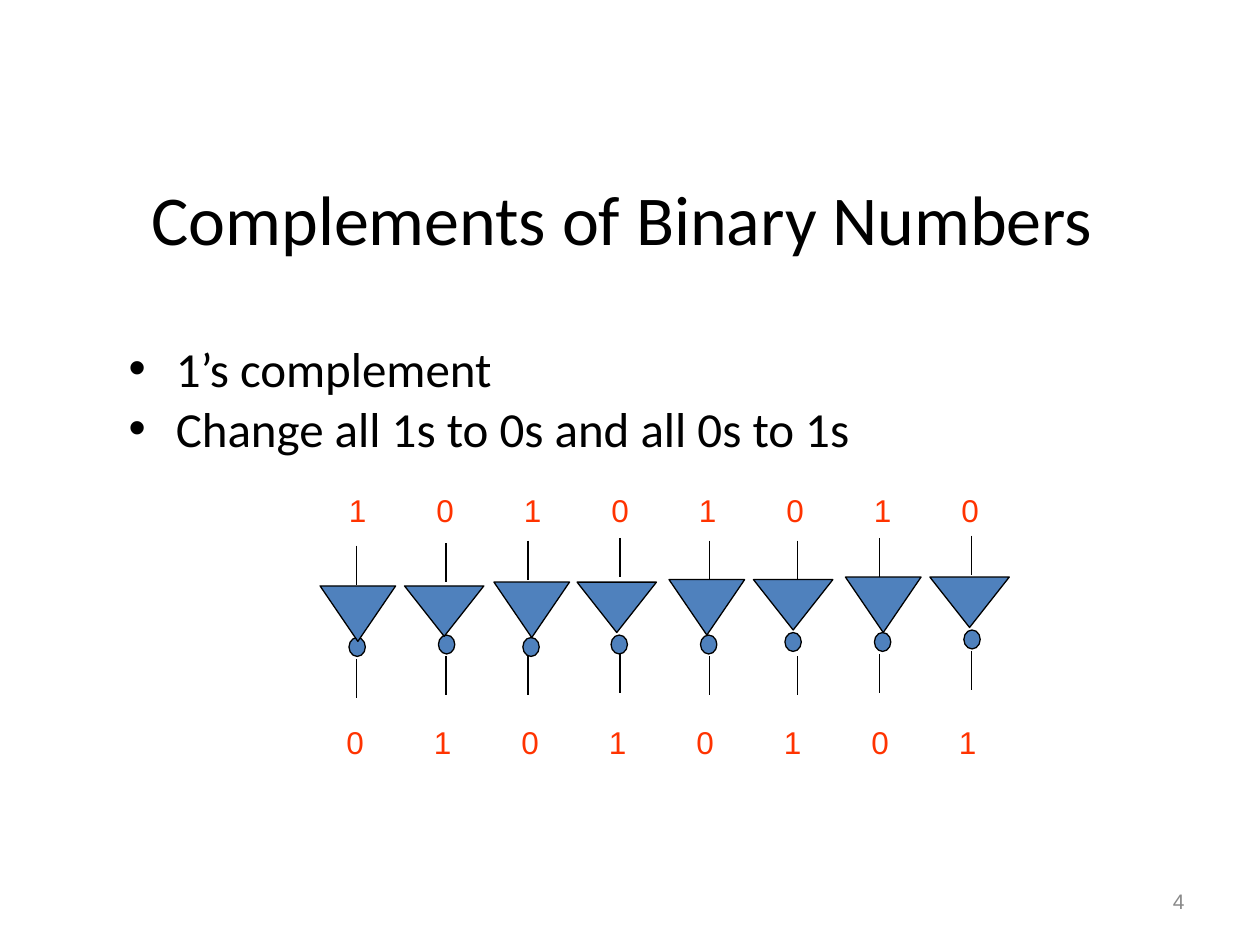
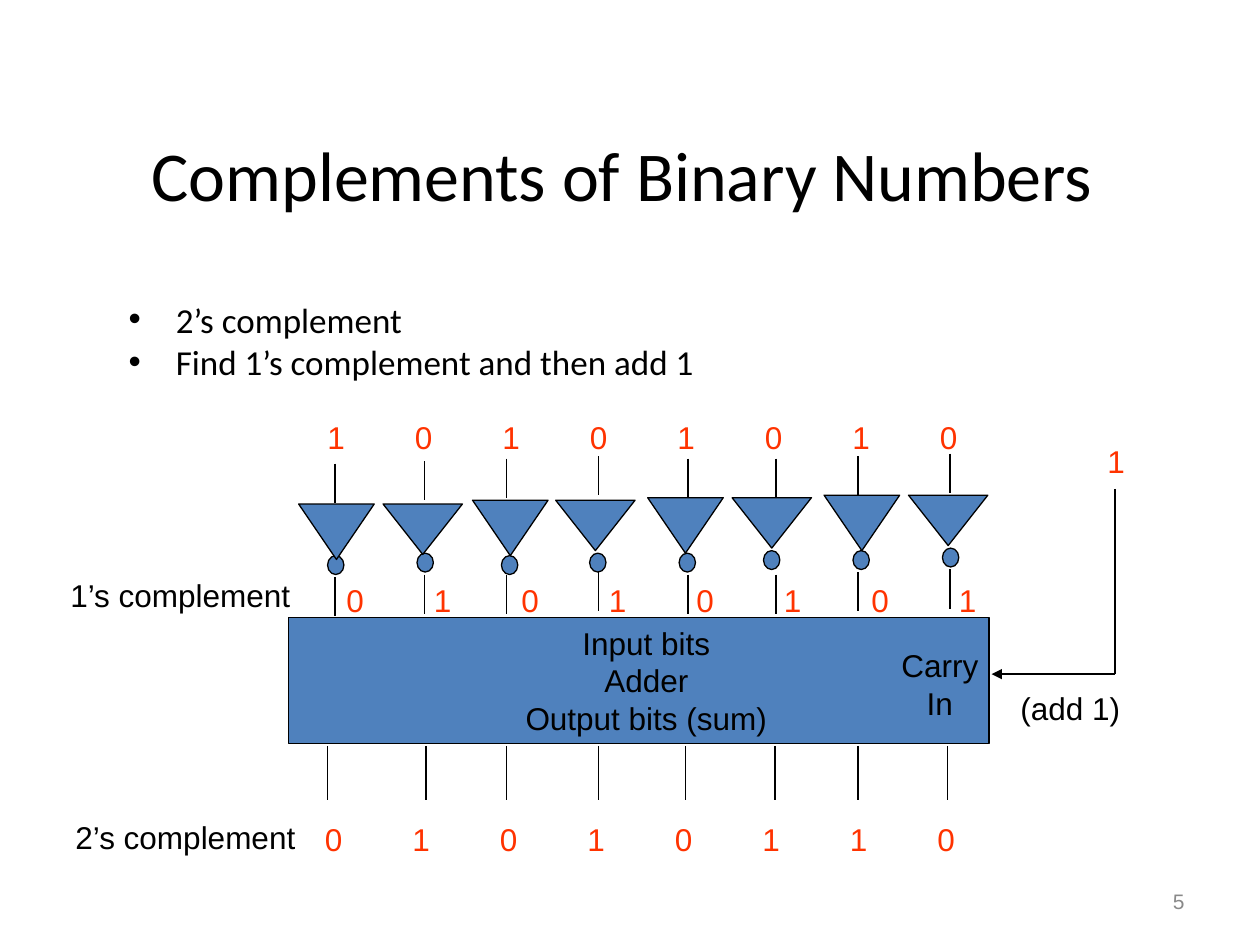
from lxml import etree
from pptx import Presentation
from pptx import util as u
from pptx.dml.color import RGBColor
from pptx.enum import shapes, text
from pptx.oxml.ns import qn

BLACK, BLUE, RED, GREY = "000000", "4F81BD", "FF3300", "898989"
LEFT, CENTER, RIGHT = text.PP_ALIGN.LEFT, text.PP_ALIGN.CENTER, text.PP_ALIGN.RIGHT
BIT_PITCH = u.Pt(50)


def paint(item, kind, color=BLACK):
    """Style a shape, a line or a run with one hex colour."""
    if kind == "text":
        item.font.color.rgb = RGBColor.from_string(color)
        return
    item.line.color.rgb = RGBColor.from_string(BLACK)
    item.line.width = u.Pt(0.75)
    if kind == "shape":
        item.shadow.inherit = False
        item.fill.solid()
        item.fill.fore_color.rgb = RGBColor.from_string(color)
    else:
        etree.SubElement(item._element.spPr, qn("a:effectLst"))


def write(frame, lines, size, color, font="Arial", align=LEFT):
    """Fill a text frame and format every paragraph and run."""
    frame.text = lines
    settings = {"word_wrap": True, "auto_size": text.MSO_AUTO_SIZE.NONE}
    for key, value in settings.items():
        setattr(frame, key, value)
    for paragraph in frame.paragraphs:
        paragraph.alignment = align
        for run in paragraph.runs:
            for key, value in {"size": u.Pt(size), "name": font}.items():
                setattr(run.font, key, value)
            paint(run, "text", color)


prs = Presentation()
prs.slide_width, prs.slide_height = u.Inches(10), u.Inches(7.5)

# Inverters: wire x, input top, triangle left and top, bubble left and top, output top
inverters = [
    (2.83, 4.33, 2.54, 4.65, 2.77, 5.06, 5.23),
    (3.54, 4.31, 3.21, 4.65, 3.48, 5.04, 5.21),
    (4.19, 4.29, 3.92, 4.62, 4.15, 5.06, 5.21),
    (4.92, 4.27, 4.58, 4.62, 4.85, 5.04, 5.19),
    (5.63, 4.29, 5.31, 4.60, 5.56, 5.04, 5.21),
    (6.33, 4.29, 5.98, 4.60, 6.23, 5.02, 5.21),
    (6.98, 4.27, 6.71, 4.58, 6.94, 5.02, 5.19),
    (7.71, 4.25, 7.38, 4.58, 7.65, 5.00, 5.17),
]
WIRE_LENGTH = 0.31

# What differs between the slides; bit rows are (left, top, bits)
pages = [
    {"number": "4", "title_top": 1.48, "list_top": 2.73, "list_height": 1,
     "list": "1’s complement\nChange all 1s to 0s and all 0s to 1s",
     "size": 28, "before": 7, "shift": (0, 0),
     "bits": [(2.67, 3.85, "10101010"), (2.65, 5.69, "01010101")]},
    {"number": "5", "title_top": 1.13, "list_top": 2.38, "list_height": 0.75,
     "list": "2’s complement\nFind 1’s complement and then add 1",
     "size": 20, "before": 5, "shift": (-0.17, -0.65),
     "bits": [(2.5, 3.27, "10101010"), (2.65, 4.56, "01010101"),
              (2.48, 6.46, "01010110")]},
]

for page in pages:
    slide = prs.slides.add_slide(prs.slide_layouts[1])

    # Title and list
    title, points = slide.shapes.title, slide.placeholders[1]
    places = [(title, 0.5, page["title_top"], 9, 0.5),
              (points, 0.92, page["list_top"], 8.58, page["list_height"])]
    for holder, *box in places:
        for key, value in zip(("left", "top", "width", "height"), box):
            setattr(holder, key, u.Inches(value))
    write(title.text_frame, "Complements of Binary Numbers ", 40, BLACK, "Calibri", CENTER)
    write(points.text_frame, page["list"], page["size"], BLACK, "Calibri")
    for index, point in enumerate(points.text_frame.paragraphs):
        point.line_spacing = 0.8
        point.space_before = u.Pt(page["before"] if index else 0)

    # Slide number
    number = slide.shapes.add_textbox(*map(u.Inches, (7.17, 6.95, 2.33, 0.4)))
    write(number.text_frame, page["number"], 12, GREY, align=RIGHT)
    number.text_frame.vertical_anchor = text.MSO_ANCHOR.MIDDLE

    # Inverter row
    dx, dy = page["shift"]
    row = slide.shapes.add_group_shape().shapes
    for index, inverter in enumerate(inverters):
        wire_x, in_top, gate_x, gate_y, bubble_x, bubble_y, out_top = inverter
        gate_size = (0.63, 0.4) if index % 2 else (0.6, 0.44)
        bubble = row.add_shape(shapes.MSO_SHAPE.OVAL, *map(
            u.Inches, (bubble_x + dx, bubble_y + dy, 0.13, 0.15)))
        gate = row.add_shape(shapes.MSO_SHAPE.ISOSCELES_TRIANGLE, *map(
            u.Inches, (gate_x + dx, gate_y + dy, *gate_size)))
        gate.rotation = 180
        for part in (bubble, gate):
            paint(part, "shape", BLUE)
        for top in (in_top, out_top):
            wire = row.add_connector(shapes.MSO_CONNECTOR.STRAIGHT, *map(
                u.Inches, (wire_x + dx, top + dy, wire_x + dx, top + dy + WIRE_LENGTH)))
            paint(wire, "line")

    # Bit rows, one tab stop per bit
    for left, top, bits in page["bits"]:
        bit_row = slide.shapes.add_textbox(*map(u.Inches, (left, top, 5.58, 0.4)))
        write(bit_row.text_frame, "\t".join(bits), 18, RED)
        stops = etree.SubElement(
            bit_row.text_frame.paragraphs[0]._p.get_or_add_pPr(), qn("a:tabLst"))
        for step in range(1, len(bits)):
            etree.SubElement(stops, qn("a:tab"), pos=str(BIT_PITCH * step), algn="l")

# Adder on the second slide
adder = slide.shapes.add_shape(
    shapes.MSO_SHAPE.RECTANGLE, *map(u.Inches, (2.29, 4.9, 5.56, 1)))
paint(adder, "shape", BLUE)

# Carry path and sum outputs
wires = [(8.85, 3.88, 8.85, 5.35), (8.85, 5.35, 7.87, 5.35)]
wires += [(x, 5.92, x, 6.35) for x in (2.6, 3.38, 4.02, 4.75, 5.44, 6.15, 6.81, 7.52)]
for ends in wires:
    wire = slide.shapes.add_connector(
        shapes.MSO_CONNECTOR.STRAIGHT, *map(u.Inches, ends))
    paint(wire, "line")
    if ends[2] < ends[0]:
        etree.SubElement(wire.line._get_or_add_ln(), qn("a:tailEnd"), type="triangle")

# Adder labels
labels = [
    ("Input bits\vAdder\vOutput bits (sum)", 4.03, 4.9, 2.2, 1, BLACK, CENTER),
    ("Carry\vIn", 6.96, 5.08, 1, 0.7, BLACK, CENTER),
    ("(add 1)", 8, 5.42, 1.21, 0.4, BLACK, LEFT),
    ("1", 8.69, 3.46, 0.63, 0.4, RED, LEFT),
    ("2’s complement", 0.5, 6.44, 2, 0.4, BLACK, LEFT),
    ("1’s complement", 0.46, 4.52, 2, 0.4, BLACK, LEFT),
]
for words, *box, color, align in labels:
    label = slide.shapes.add_textbox(*map(u.Inches, box))
    # A vertical tab becomes a line break only when set on the paragraph
    label.text_frame.paragraphs[0].text = words
    write(label.text_frame, words, 18, color, align=align)

prs.save("out.pptx")
